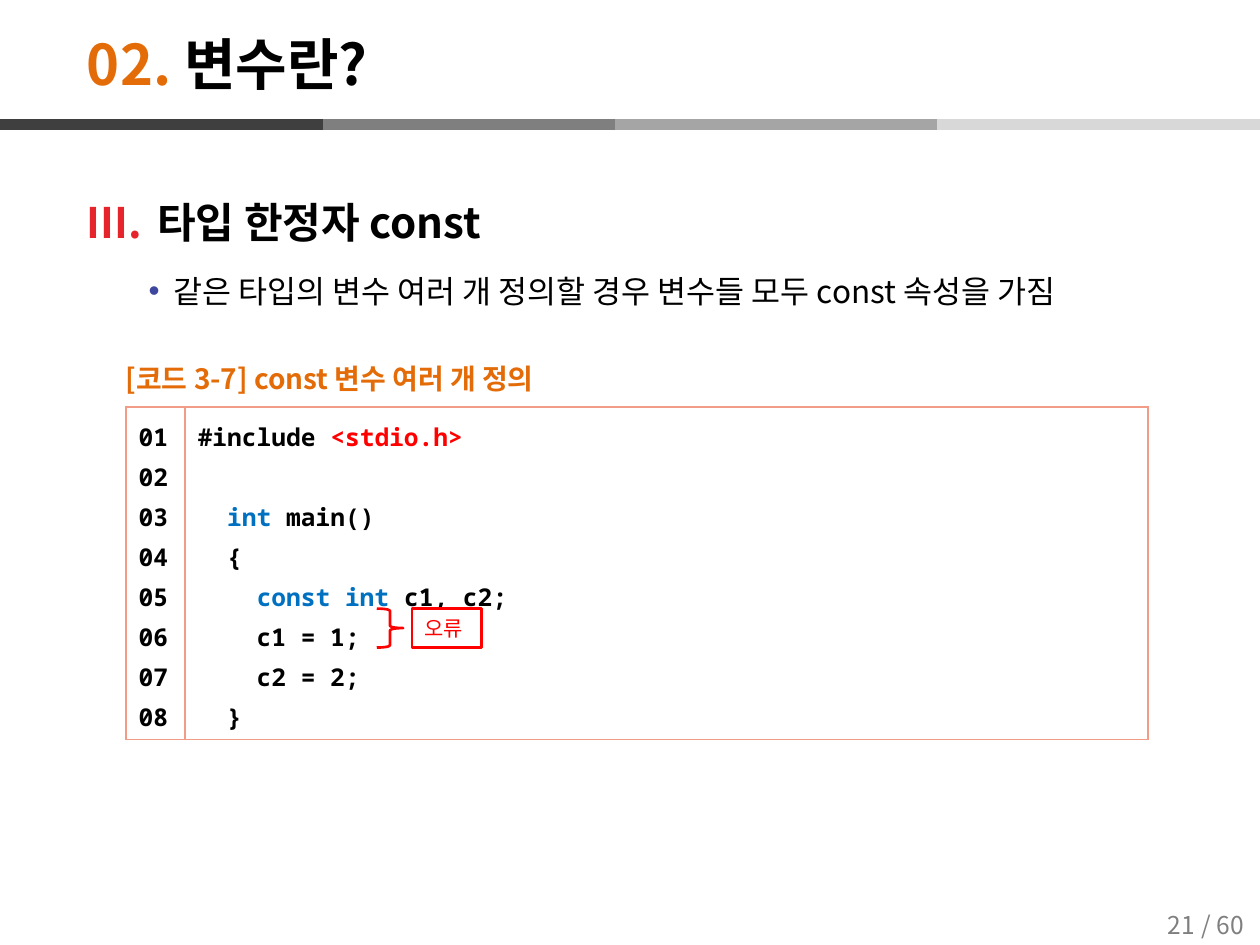
from dataclasses import dataclass
from typing import Any

from lxml import etree
from pptx import Presentation
from pptx.dml.color import RGBColor
from pptx.enum.shapes import MSO_CONNECTOR, MSO_SHAPE
from pptx.enum.text import MSO_ANCHOR, MSO_AUTO_SIZE, PP_ALIGN
from pptx.oxml.ns import qn
from pptx.util import Inches, Pt

LEFT, CENTER = PP_ALIGN.LEFT, PP_ALIGN.CENTER
TOP, MIDDLE = MSO_ANCHOR.TOP, MSO_ANCHOR.MIDDLE
STRAIGHT = MSO_CONNECTOR.STRAIGHT
BRACE, RECT = MSO_SHAPE.RIGHT_BRACE, MSO_SHAPE.RECTANGLE
FIXED = MSO_AUTO_SIZE.NONE


@dataclass(frozen=True)
class Theme:
    sans: str = "Noto Sans CJK KR"
    mono: str = "Noto Sans Mono"
    plain: str = "Arial"
    black: str = "000000"
    white: str = "FFFFFF"
    gray: str = "7F7F7F"
    orange: str = "E36C09"
    red: str = "FF0000"
    blue: str = "0070C0"
    number: str = "E5242C"
    bullet: str = "3C479D"
    border: str = "F29B87"
    title: int = 32
    head: int = 24
    body: int = 18
    label: int = 16
    code: int = 14
    note: int = 12


T = Theme()


@dataclass(frozen=True)
class Style:
    size: int
    color: str = T.black
    bold: bool = False
    face: str = T.sans
    align: Any = LEFT
    space: float = 1.0


@dataclass(frozen=True)
class Part:
    text: str
    color: str


@dataclass(frozen=True)
class Bar:
    start: float
    end: float
    color: str


@dataclass(frozen=True)
class Label:
    text: str
    left: float
    top: float
    width: float
    height: float
    style: Style


PAGE = Style(T.code, T.gray, align=CENTER)
CODE = Style(T.code, bold=True, face=T.mono, space=1.2)
BARS = [
    Bar(2.32, 4.88, "7F7F7F"),
    Bar(4.88, 7.44, "A5A5A5"),
    Bar(7.44, 10, "D8D8D8"),
    Bar(0, 2.56, "3F3F3F"),
]
LABELS = [
    Label("/ 60", 9.35, 7.14, 0.71, 0.39, PAGE),
    Label("21", 9.02, 7.14, 0.71, 0.39, PAGE),
    Label("[코드 3-7] const 변수 여러 개 정의", 0.9, 2.83, 4.37, 0.35,
          Style(T.label, T.orange, bold=True)),
]
LINES = [
    [Part("#include ", T.black), Part("<stdio.h>", T.red)],
    [],
    [Part("  ", T.black), Part("int", T.blue), Part(" main()", T.black)],
    [Part("  {", T.black)],
    [Part("    ", T.black), Part("const int", T.blue), Part(" c1, c2;", T.black)],
    [Part("    c1 = 1;", T.black)],
    [Part("    c2 = 2;", T.black)],
    [Part("  }", T.black)],
]


def rgb(code: str) -> RGBColor:
    return RGBColor.from_string(code)


def node(root: Any, tag: str, **attrs: str) -> Any:
    return etree.SubElement(root, qn(tag), attrs)


def set_style(para: Any, style: Style) -> None:
    font = para.font
    font.size, font.bold, font.name = Pt(style.size), style.bold, style.face
    font.color.rgb = rgb(style.color)
    node(para._p.pPr.find(qn("a:defRPr")), "a:ea", typeface=style.face)
    para.alignment, para.line_spacing = style.align, style.space


def write(para: Any, parts: list[Part], style: Style) -> None:
    set_style(para, style)
    for part in parts:
        run = para.add_run()
        run.text = part.text
        if part.color != style.color:
            run.font.color.rgb = rgb(part.color)
    if not parts:
        node(para._p, "a:endParaRPr", sz=str(style.size * 100))


def write_lines(frame: Any, lines: list[list[Part]], style: Style) -> None:
    for i, parts in enumerate(lines):
        write(frame.add_paragraph() if i else frame.paragraphs[0], parts, style)


def set_bullet(para: Any, color: str, left: float, hang: float,
               tag: str, **attrs: str) -> None:
    """Give a styled paragraph a coloured bullet or number with a hanging indent."""
    props = para._p.pPr
    props.set("marL", str(Inches(left)))
    props.set("indent", str(-Inches(hang)))
    tint = node(props, "a:buClr")
    node(tint, "a:srgbClr", val=color)
    face = node(props, "a:buFont", typeface=T.plain if tag == "a:buChar" else T.sans)
    mark = node(props, tag, **attrs)
    last = props.find(qn("a:defRPr"))
    for item in (tint, face, mark):
        last.addprevious(item)


def place(shape: Any, *box: float) -> None:
    shape.left, shape.top, shape.width, shape.height = map(Inches, box)


def add_box(slide: Any, *box: float, anchor: Any = MIDDLE) -> Any:
    frame = slide.shapes.add_textbox(*map(Inches, box)).text_frame
    frame.word_wrap, frame.vertical_anchor = True, anchor
    return frame


def add_label(slide: Any, item: Label) -> None:
    frame = add_box(slide, item.left, item.top, item.width, item.height)
    write(frame.paragraphs[0], [Part(item.text, item.style.color)], item.style)


def add_bar(slide: Any, bar: Bar) -> None:
    y = Inches(0.99)
    line = slide.shapes.add_connector(STRAIGHT, Inches(bar.start), y, Inches(bar.end), y)
    line.line.color.rgb, line.line.width = rgb(bar.color), Pt(6)
    node(line._element.spPr, "a:effectLst")


def add_title(slide: Any) -> None:
    title = slide.shapes.title
    place(title, 0.59, 0.2, 8.74, 0.6)
    frame = title.text_frame
    frame.auto_size, frame.vertical_anchor = FIXED, MIDDLE
    write(frame.paragraphs[0], [Part("02. ", T.orange), Part("변수란?", T.black)],
          Style(T.title, bold=True))


def add_body(slide: Any) -> None:
    frame = add_box(slide, 0.59, 1.31, 8.82, 5.99, anchor=TOP)
    head, point = frame.paragraphs[0], frame.add_paragraph()
    write(head, [Part("타입 한정자 const", T.black)],
          Style(T.head, bold=True, space=1.5))
    set_bullet(head, T.number, 0.56, 0.56, "a:buAutoNum",
               type="romanUcPeriod", startAt="3")
    write(point, [Part("같은 타입의 변수 여러 개 정의할 경우 변수들 모두 const 속성을 가짐",
                       T.black)], Style(T.body, space=1.5))
    point.level, point.space_before = 1, Pt(3.6)
    set_bullet(point, T.bullet, 0.69, 0.2, "a:buChar", char="•")


def set_border(cell: Any) -> None:
    props = cell._tc.get_or_add_tcPr()
    for side in "LRTB":
        line = node(props, f"a:ln{side}", w=str(Pt(1)))
        node(node(line, "a:solidFill"), "a:srgbClr", val=T.border)


def add_code(slide: Any) -> None:
    table = slide.shapes.add_table(
        1, 2, Inches(1), Inches(3.23), Inches(8.11), Inches(2.64)).table
    table.first_row = table.horz_banding = False
    digits = [[Part(f"{i:02}", T.black)] for i in range(1, len(LINES) + 1)]
    for i, (width, lines) in enumerate([(0.47, digits), (7.64, LINES)]):
        table.columns[i].width = Inches(width)
        cell = table.cell(0, i)
        set_border(cell)
        cell.fill.background()
        write_lines(cell.text_frame, lines, CODE)


def add_mark(slide: Any, kind: Any, left: float, width: float) -> Any:
    shape = slide.shapes.add_shape(
        kind, Inches(left), Inches(4.83), Inches(width), Inches(0.31))
    shape.shadow.inherit = False
    shape.fill.background()
    shape.line.color.rgb, shape.line.width = rgb(T.red), Pt(1.5)
    return shape


def add_error(slide: Any) -> None:
    add_mark(slide, BRACE, 2.99, 0.21)
    note = add_mark(slide, RECT, 3.27, 0.55)
    note.fill.solid()
    note.fill.fore_color.rgb = rgb(T.white)
    write(note.text_frame.paragraphs[0], [Part("오류", T.red)],
          Style(T.note, T.red, face=T.plain))


def main() -> None:
    deck = Presentation()
    deck.slide_width, deck.slide_height = Inches(10), Inches(7.5)
    slide = deck.slides.add_slide(deck.slide_layouts[5])
    for bar in BARS:
        add_bar(slide, bar)
    add_title(slide)
    add_body(slide)
    for item in LABELS:
        add_label(slide, item)
    add_code(slide)
    add_error(slide)
    deck.save("out.pptx")


if __name__ == "__main__":
    main()
